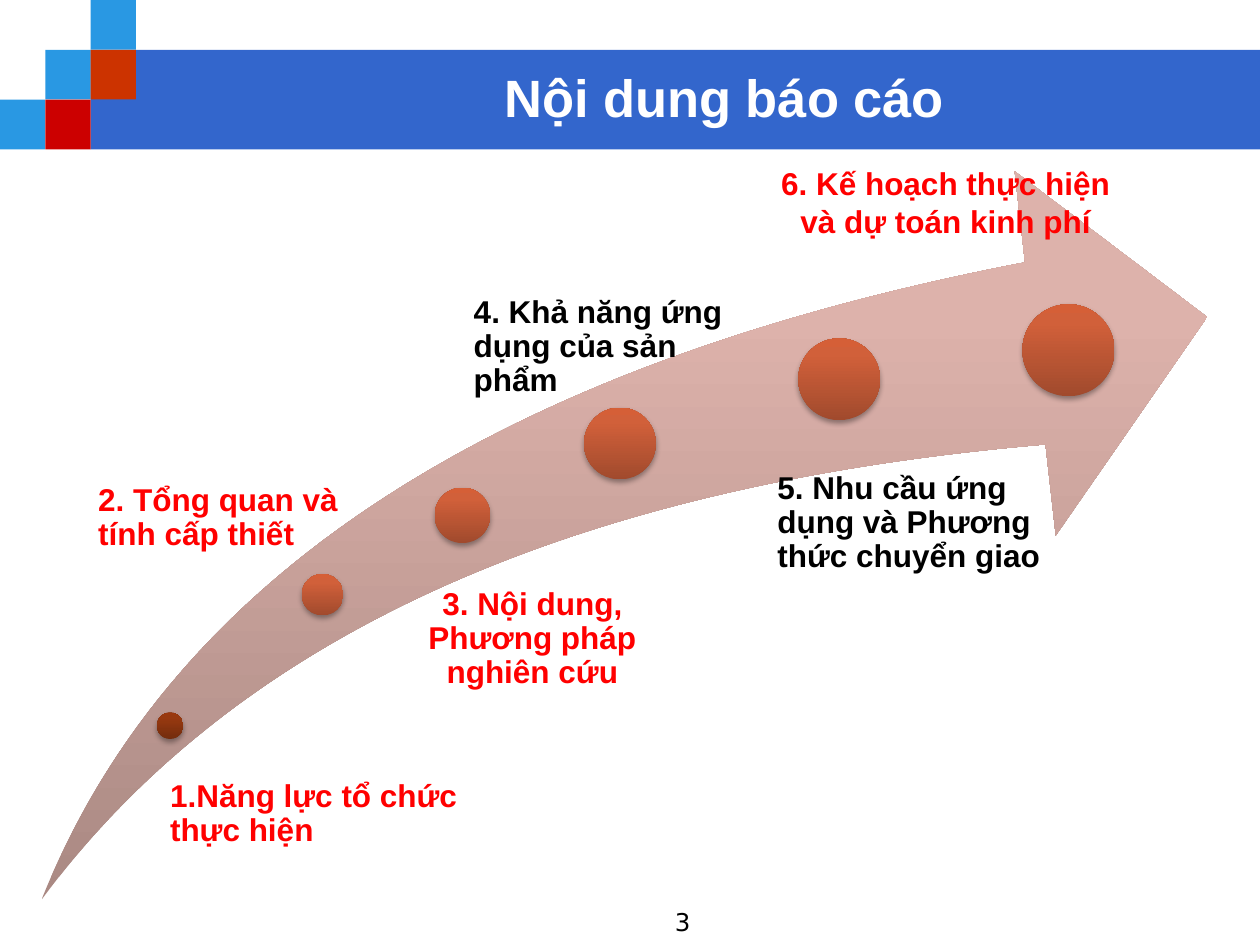
from dataclasses import dataclass

from lxml.etree import SubElement
from pptx import Presentation
from pptx.dml.color import RGBColor
from pptx.enum.shapes import MSO_SHAPE
from pptx.enum.text import MSO_ANCHOR, MSO_AUTO_SIZE, PP_ALIGN
from pptx.oxml import parse_xml
from pptx.oxml.ns import nsdecls, qn
from pptx.util import Inches, Pt


@dataclass(frozen=True)
class Theme:
    band: str = "3366CC"
    sky: str = "2998E3"
    orange: str = "CC3300"
    red: str = "CC0000"
    white: str = "FFFFFF"
    black: str = "000000"
    highlight: str = "FF0000"
    arrow: tuple = ("AA8983", "DDB2AB", "DFB2AA")
    first_dot: tuple = ("742C0D", "973910", "9B380E")
    dot: tuple = ("A14A2D", "D1603A", "D55F37")
    font: str = "Arial"
    number_font: str = "DejaVu Sans"
    title_size: int = 30
    label_size: int = 18
    number_size: int = 14


THEME = Theme()
SLIDE_W, SLIDE_H = 10, 7.5
TILE_W, TILE_H = 0.36, 0.395

# column, row, colour of each corner tile
TILES = [
    (0, 2, THEME.sky), (1, 1, THEME.sky), (2, 0, THEME.sky),
    (2, 1, THEME.orange), (1, 2, THEME.red),
]

# centre x, centre y, diameter, gradient of each milestone
MILESTONES = [
    (1.35, 5.76, 0.21, THEME.first_dot),
    (2.56, 4.72, 0.33, THEME.dot),
    (3.67, 4.09, 0.44, THEME.dot),
    (4.92, 3.52, 0.57, THEME.dot),
    (6.66, 3.01, 0.65, THEME.dot),
    (8.48, 2.78, 0.73, THEME.dot),
]

# text, box, left inset, colour, alignment
TOPICS = [
    ("1.Năng lực tổ chức thực hiện", (0.96, 6.19, 3.04, 0.73), 0.39,
     THEME.highlight, PP_ALIGN.LEFT),
    ("2. Tổng quan và tính cấp thiết", (0.67, 3.84, 2.37, 1.09), 0.11,
     THEME.highlight, PP_ALIGN.LEFT),
    ("3. Nội dung, Phương pháp nghiên cứu", (3.04, 4.67, 2.19, 1), 0.18,
     THEME.highlight, PP_ALIGN.CENTER),
    ("4. Khả năng ứng dụng của sản phẩm", (3.52, 2.35, 2.5, 1.3), 0.24,
     THEME.black, PP_ALIGN.LEFT),
    ("5. Nhu cầu ứng dụng và Phương thức chuyển giao",
     (5.87, 3.75, 2.72, 0.92), 0.3, THEME.black, PP_ALIGN.LEFT),
]


def inches(box):
    return [Inches(length) for length in box]


def add_preset(slide, preset, box, color=None):
    shape = slide.shapes.add_shape(preset, *inches(box))
    shape.shadow.inherit = False
    shape.line.fill.background()
    if color:
        shape.fill.solid()
        shape.fill.fore_color.rgb = RGBColor.from_string(color)
    return shape


def fill_upward(shape, colors):
    """Fill with a three-stop gradient running from bottom to top."""
    stops = "".join(
        f'<a:gs pos="{share * 1000}"><a:srgbClr val="{color}"/></a:gs>'
        for share, color in zip((0, 80, 100), colors))
    gradient = parse_xml(
        f'<a:gradFill {nsdecls("a")} rotWithShape="1"><a:gsLst>{stops}</a:gsLst>'
        '<a:lin ang="16200000" scaled="0"/></a:gradFill>')
    shape._element.spPr.find(qn("a:prstGeom")).addnext(gradient)


def drop_shadow(shape):
    effects = shape._element.spPr.find(qn("a:effectLst"))
    shadow = SubElement(effects, qn("a:outerShdw"), blurRad=str(Pt(3.1)),
                        dist=str(Pt(1.8)), dir="5400000", rotWithShape="0")
    color = SubElement(shadow, qn("a:srgbClr"), val=THEME.black)
    SubElement(color, qn("a:alpha"), val="35000")


def write(shape, text, *, size=THEME.label_size, color=THEME.black, bold=True,
          font=THEME.font, align=PP_ALIGN.LEFT, spacing=None, insets=None,
          anchor=MSO_ANCHOR.TOP, auto_size=MSO_AUTO_SIZE.NONE):
    frame = shape.text_frame
    frame.word_wrap = True
    frame.auto_size = auto_size
    frame.vertical_anchor = anchor
    if insets:
        (frame.margin_left, frame.margin_top,
         frame.margin_right, frame.margin_bottom) = inches(insets)
    paragraph = frame.paragraphs[0]
    paragraph.alignment = align
    paragraph.line_spacing = spacing
    run = paragraph.add_run()
    run.text = text
    run.font.name, run.font.size, run.font.bold = font, Pt(size), bold
    run.font.color.rgb = RGBColor.from_string(color)
    return paragraph


def add_text(slide, text, box, **style):
    return write(slide.shapes.add_textbox(*inches(box)), text, **style)


def add_header(slide):
    left, top = 2 * TILE_W, TILE_H
    add_preset(slide, MSO_SHAPE.RECTANGLE,
               (left, top, SLIDE_W - left, 2 * TILE_H), THEME.band)
    for column, row, color in TILES:
        add_preset(slide, MSO_SHAPE.RECTANGLE,
                   (column * TILE_W, row * TILE_H, TILE_W, TILE_H), color)
    title = slide.shapes.title
    title.left, title.top, title.width, title.height = inches((1.25, 0.5, 9, 0.53))
    write(title, "Nội dung báo cáo", size=THEME.title_size, color=THEME.white,
          align=PP_ALIGN.CENTER, anchor=MSO_ANCHOR.MIDDLE)
    slide.shapes._spTree.append(title._element)  # bring in front of the band


def add_roadmap(slide):
    arrow = add_preset(slide, MSO_SHAPE.SWOOSH_ARROW, (0.33, 1.36, 9.25, 5.78))
    arrow.adjustments[0] = arrow.adjustments[1] = 0.25
    fill_upward(arrow, THEME.arrow)
    for x, y, diameter, colors in MILESTONES:
        dot = add_preset(slide, MSO_SHAPE.OVAL,
                         (x - diameter / 2, y - diameter / 2, diameter, diameter))
        fill_upward(dot, colors)
        drop_shadow(dot)


def add_topics(slide):
    for text, box, inset, color, align in TOPICS:
        add_text(slide, text, box, color=color, align=align, spacing=0.9,
                 insets=(inset, 0, 0, 0))
    plan = add_text(slide, "6. Kế hoạch thực hiện và dự toán kinh phí",
                    (5.9, 1.25, 3.02, 0.71), color=THEME.highlight,
                    align=PP_ALIGN.CENTER, auto_size=MSO_AUTO_SIZE.SHAPE_TO_FIT_TEXT)
    indent = plan._p.get_or_add_pPr()
    indent.set("marL", str(Inches(0.19)))
    indent.set("indent", "0")


def main():
    deck = Presentation()
    deck.slide_width, deck.slide_height = inches((SLIDE_W, SLIDE_H))
    slide = deck.slides.add_slide(deck.slide_layouts.get_by_name("Title Only"))
    add_header(slide)
    add_roadmap(slide)
    add_topics(slide)
    add_text(slide, "3", (3.25, 7.15, 2.33, 0.35), size=THEME.number_size,
             font=THEME.number_font, bold=False, align=PP_ALIGN.RIGHT)
    deck.save("out.pptx")


if __name__ == "__main__":
    main()
